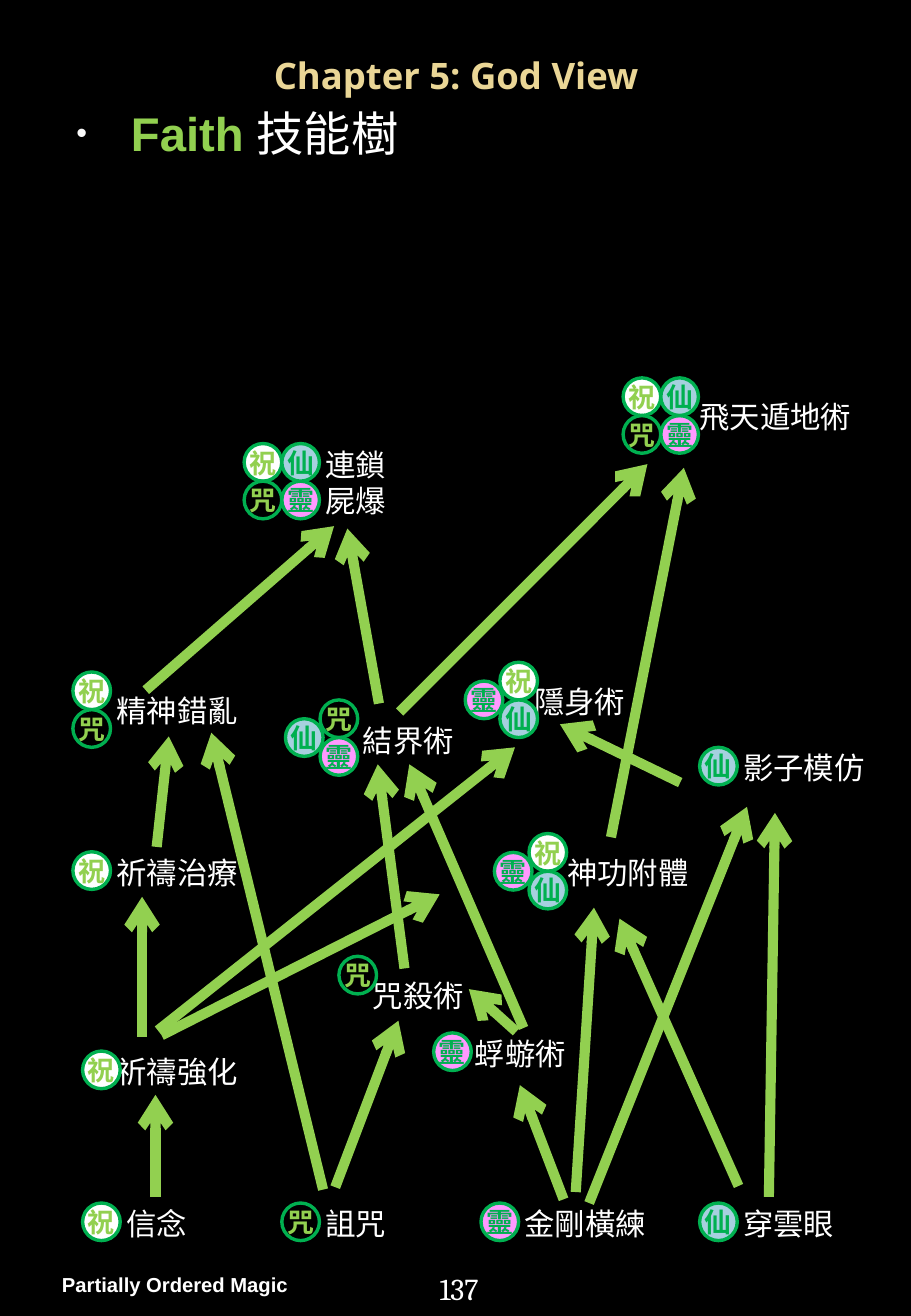
from lxml.etree import SubElement
from pptx import Presentation
from pptx.dml.color import RGBColor
from pptx.enum.shapes import MSO_CONNECTOR, MSO_SHAPE
from pptx.enum.text import MSO_ANCHOR, MSO_AUTO_SIZE, PP_ALIGN
from pptx.oxml.ns import qn
from pptx.util import Inches, Pt

COLORS = {
    "background": "000000",
    "text": "FFFFFF",
    "title": "EAD696",
    "bullet": "F9F9F9",
    "arrow": "92D050",
    "ring": "00B050",
    "sky": "A6D0DF",
    "pink": "FF99FF",
}

BADGES = {
    "祝": ("text", "arrow"),
    "咒": ("background", "arrow"),
    "靈": ("pink", "ring"),
    "仙": ("sky", "ring"),
}

BADGE_SIZE = 0.31
BADGE_PATTERNS = {
    1: [(0, 0)],
    2: [(0, 0), (0, 1)],
    3: [(0, 0.5), (0.92, 0), (0.92, 1)],
    4: [(0, 0), (0, 1), (1, 1), (1, 0)],
}

SKILLS = [
    ("飛天遁地術", 5.66, 0.23, "祝咒靈仙", -0.53, -0.12),
    ("連鎖\n屍爆", 2.58, 0.62, "祝咒靈仙", -0.57, 0.03),
    ("隱身術", 4.3, 2.57, "靈祝仙", -0.47, -0.12),
    ("精神錯亂", 0.86, 2.65, "祝咒", -0.26, -0.12),
    ("結界術", 2.89, 2.89, "仙咒靈", -0.54, -0.13),
    ("影子模仿", 6.02, 3.12, "仙", -0.26, 0.03),
    ("祈禱治療", 0.86, 3.98, "祝", -0.26, 0.03),
    ("神功附體", 4.57, 3.98, "靈祝仙", -0.5, -0.12),
    ("咒殺術", 2.97, 4.99, "咒", -0.18, -0.12),
    ("蜉蝣術", 3.81, 5.47, "靈", -0.24, 0.03),
    ("祈禱強化", 0.86, 5.62, "祝", -0.18, 0.03),
    ("信念", 0.94, 6.87, "祝", -0.26, 0.03),
    ("詛咒", 2.58, 6.87, "咒", -0.26, 0.03),
    ("金剛橫練", 4.22, 6.87, "靈", -0.26, 0.03),
    ("穿雲眼", 6.02, 6.87, "仙", -0.26, 0.03),
]

ARROWS = [
    (4.64, 6.87, 4.28, 5.93),
    (1.33, 5.52, 3.62, 4.36),
    (4.74, 6.81, 4.89, 4.47),
    (1.17, 5.53, 1.17, 4.38),
    (1.28, 6.85, 1.28, 6.01),
    (2.76, 6.77, 3.28, 5.4),
    (6.08, 6.76, 5.1, 4.56),
    (6.33, 6.85, 6.38, 3.69),
    (4.85, 6.9, 6.15, 3.64),
    (5.6, 3.44, 4.61, 2.96),
    (2.66, 6.79, 1.74, 3.03),
    (4.25, 5.49, 3.86, 5.14),
    (1.29, 3.97, 1.39, 3.06),
    (3.12, 2.79, 2.86, 1.35),
    (1.2, 2.68, 2.75, 1.33),
    (3.29, 2.86, 5.33, 0.82),
    (5.03, 3.89, 5.63, 0.85),
    (1.3, 5.48, 4.24, 3.15),
    (3.33, 4.97, 3.11, 3.29),
    (4.31, 5.46, 3.37, 3.29),
]


def color(name):
    return RGBColor.from_string(COLORS[name])


def add_run(paragraph, text, size, font, color_name="text", bold=False):
    run = paragraph.add_run()
    run.text = text
    run.font.size = Pt(size)
    run.font.name = font
    run.font.bold = bold
    run.font.color.rgb = color(color_name)
    return run


def add_text_box(slide, left, top, width, height, wrap=True):
    shape = slide.shapes.add_textbox(Inches(left), Inches(top), Inches(width), Inches(height))
    shape.text_frame.word_wrap = wrap
    return shape.text_frame


def add_title(slide, left, top, width, height):
    title = slide.shapes.title
    title.left, title.top = Inches(left), Inches(top)
    title.width, title.height = Inches(width), Inches(height)
    frame = title.text_frame
    frame.auto_size = MSO_AUTO_SIZE.NONE
    frame.vertical_anchor = MSO_ANCHOR.MIDDLE
    paragraph = frame.paragraphs[0]
    paragraph.alignment = PP_ALIGN.CENTER
    add_run(paragraph, "Chapter 5: God View", 21.6, "Noto Sans", "title", True)


def add_heading(slide, left, top, width, height):
    paragraph = add_text_box(slide, left, top, width, height).paragraphs[0]
    properties = paragraph._p.get_or_add_pPr()
    properties.set("marL", str(Inches(0.6)))
    properties.set("indent", str(Inches(-0.45)))
    bullet_color = SubElement(properties, qn("a:buClr"))
    SubElement(bullet_color, qn("a:srgbClr")).set("val", COLORS["bullet"])
    SubElement(properties, qn("a:buSzPct")).set("val", "65000")
    SubElement(properties, qn("a:buFont")).set("typeface", "Arial")
    SubElement(properties, qn("a:buChar")).set("char", "•")
    add_run(paragraph, "Faith ", 28, "Arial", "arrow", True)
    add_run(paragraph, "技能樹", 28, "Arial")


def add_arrow(slide, start_x, start_y, end_x, end_y):
    connector = slide.shapes.add_connector(
        MSO_CONNECTOR.STRAIGHT, Inches(start_x), Inches(start_y), Inches(end_x), Inches(end_y))
    connector.line.color.rgb = color("arrow")
    connector.line.width = Pt(6)
    SubElement(connector.line._get_or_add_ln(), qn("a:tailEnd")).set("type", "arrow")
    SubElement(connector._element.spPr, qn("a:effectLst"))


def add_badge(slide, left, top, symbol):
    fill, ink = BADGES[symbol]
    shape = slide.shapes.add_shape(
        MSO_SHAPE.OVAL, Inches(left), Inches(top), Inches(BADGE_SIZE), Inches(BADGE_SIZE))
    shape.shadow.inherit = False
    shape.fill.solid()
    shape.fill.fore_color.rgb = color(fill)
    shape.line.color.rgb = color("ring")
    shape.line.width = Pt(2)
    frame = shape.text_frame
    frame.word_wrap = False
    frame.vertical_anchor = MSO_ANCHOR.MIDDLE
    frame.margin_left = frame.margin_right = frame.margin_top = frame.margin_bottom = 0
    paragraph = frame.paragraphs[0]
    paragraph.alignment = PP_ALIGN.CENTER
    run = add_run(paragraph, symbol, 16, "Noto Sans CJK SC", ink, True)
    east_asian = SubElement(run._r.get_or_add_rPr(), qn("a:ea"))
    east_asian.set("typeface", "Noto Sans CJK SC")


def add_skill(slide, left, top, label, symbols, badge_x, badge_y):
    lines = label.split("\n")
    width = 0.21 + 0.25 * len(lines[0])
    font = "Arial" if len(lines) > 1 else "Cambria"
    paragraph = add_text_box(slide, left, top, width, 0.1 + 0.3 * len(lines), False).paragraphs[0]
    for index, line in enumerate(lines):
        if index:
            paragraph.add_line_break()
        add_run(paragraph, line, 18, font)
    for symbol, (column, row) in zip(symbols, BADGE_PATTERNS[len(symbols)]):
        add_badge(slide, left + badge_x + column * BADGE_SIZE,
                  top + badge_y + row * BADGE_SIZE, symbol)


def add_skill_tree(slide, left, top):
    for start_x, start_y, end_x, end_y in ARROWS:
        add_arrow(slide, left + start_x, top + start_y, left + end_x, top + end_y)
    for label, x, y, symbols, badge_x, badge_y in SKILLS:
        add_skill(slide, left + x, top + y, label, symbols, badge_x, badge_y)


def add_footer(slide, left, top):
    name_frame = add_text_box(slide, left, top + 0.01, 2.58, 0.32)
    name_frame.margin_left = name_frame.margin_right = Inches(0.12)
    name_frame.margin_top = name_frame.margin_bottom = Inches(0.06)
    add_run(name_frame.paragraphs[0], "Partially Ordered Magic", 12, "Arial", bold=True)
    number_frame = add_text_box(slide, left + 3.13, top, 1.02, 0.4)
    add_run(number_frame.paragraphs[0], "137", 18, "Cambria")


def main():
    presentation = Presentation()
    presentation.slide_width = Inches(7.5)
    presentation.slide_height = Inches(10.83)
    slide = presentation.slides.add_slide(presentation.slide_layouts[5])
    slide.background.fill.solid()
    slide.background.fill.fore_color.rgb = color("background")
    add_title(slide, 0.38, 0.43, 6.75, 0.37)
    add_heading(slide, 0.38, 0.81, 6.75, 0.6)
    add_skill_tree(slide, 0, 3)
    add_footer(slide, 0.39, 10.4)
    presentation.save("out.pptx")


if __name__ == "__main__":
    main()
